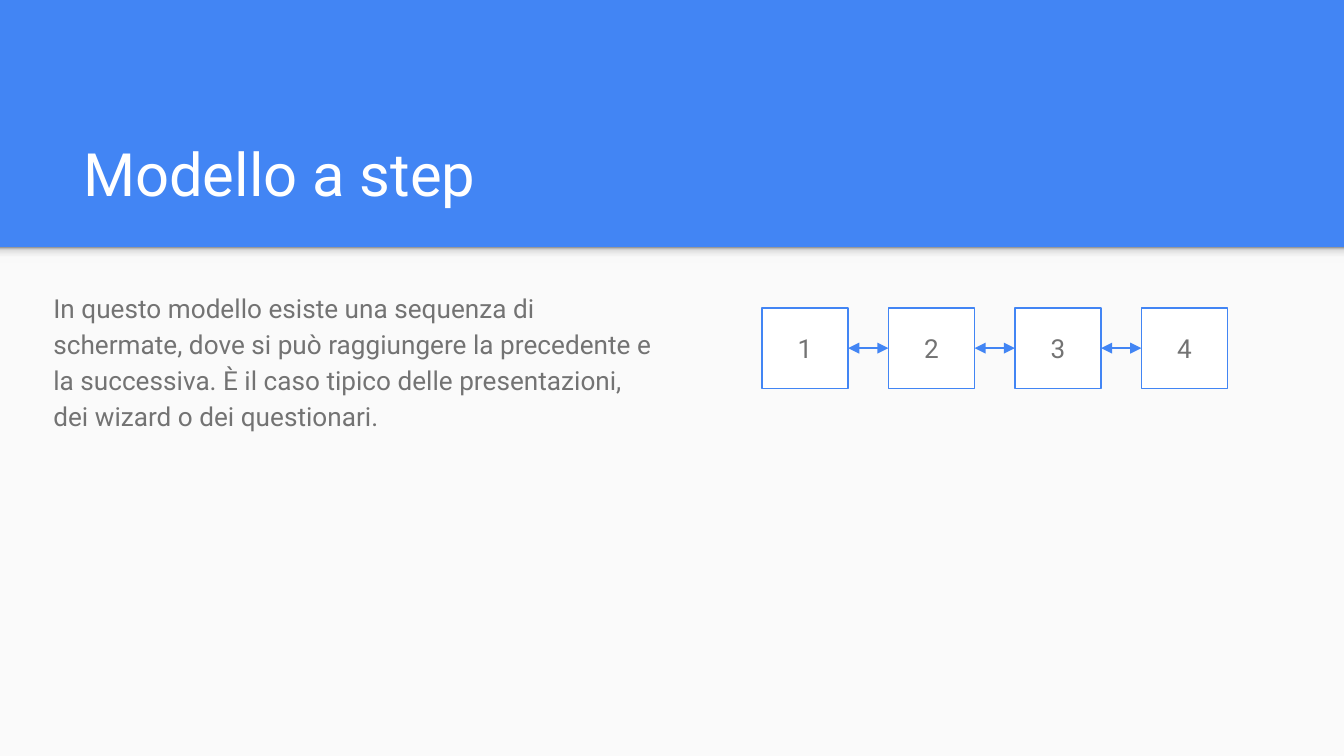
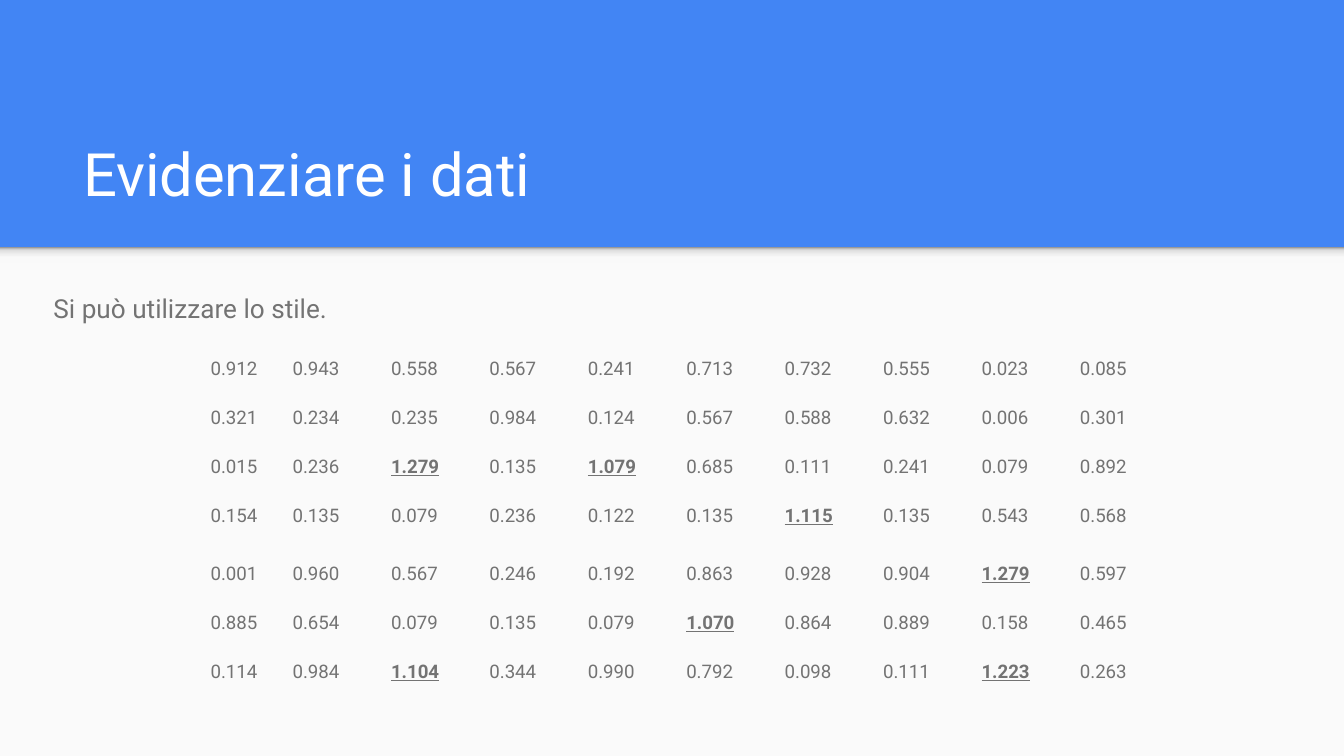
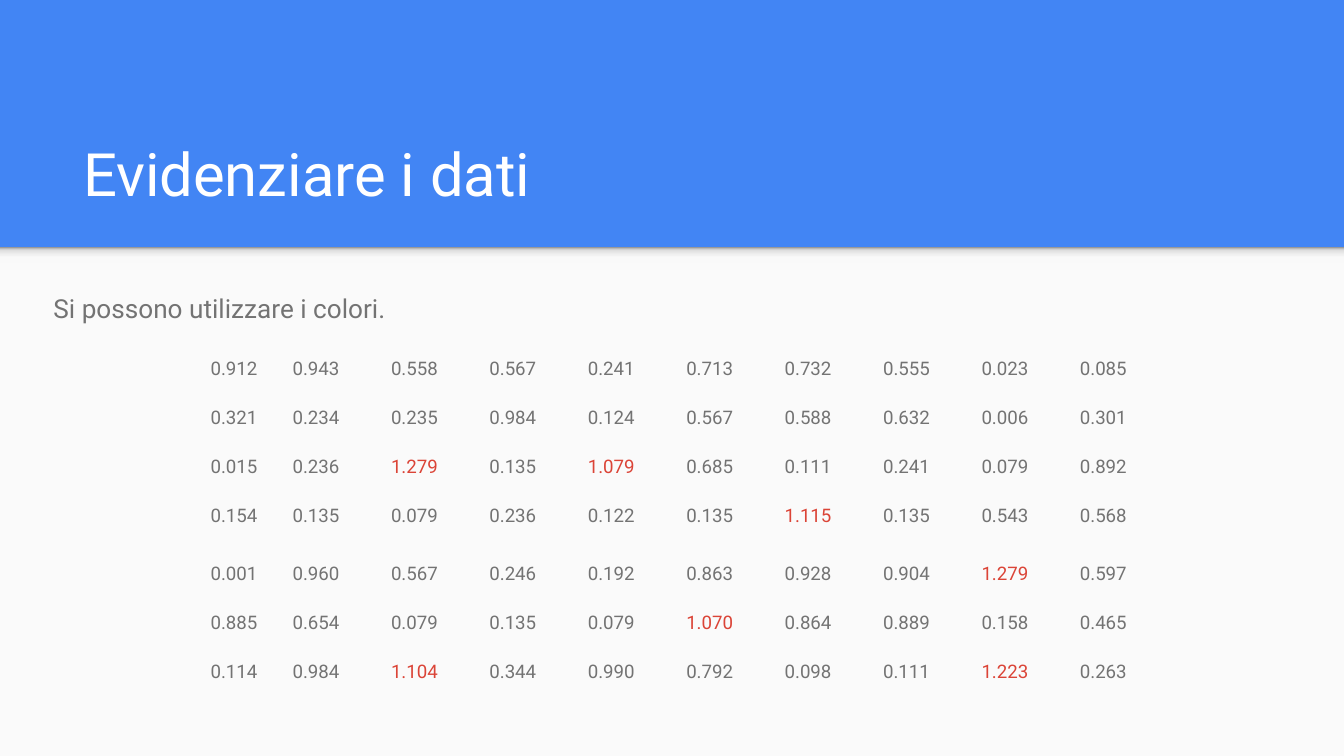
from lxml import etree
from pptx import Presentation
from pptx.dml.color import RGBColor
from pptx.enum.shapes import MSO_CONNECTOR, MSO_SHAPE
from pptx.enum.text import MSO_ANCHOR, PP_ALIGN
from pptx.oxml.ns import qn
from pptx.util import Cm, Pt

RECTANGLE = MSO_SHAPE.RECTANGLE
STRAIGHT = MSO_CONNECTOR.STRAIGHT
TOP, MIDDLE, BOTTOM = MSO_ANCHOR.TOP, MSO_ANCHOR.MIDDLE, MSO_ANCHOR.BOTTOM
LEFT, CENTER = PP_ALIGN.LEFT, PP_ALIGN.CENTER

FONT = "Roboto"
BLUE, WHITE, PAPER, GREY, RED = "4285F4", "FFFFFF", "FAFAFA", "737373", "DB4437"
SHADOW_STOPS = [(0, "F9F9F9"), (36, "F9F9F9"), (80, "DEDEDE"), (100, "999999")]
NO_TABLE_STYLE = "{2D5ABB26-0587-4C30-8999-92F81FD0307C}"

# Measures in centimetres; boxes are left, top, width, height
PAGE_WIDTH, PAGE_HEIGHT = 25.4, 14.29
BAND_HEIGHT = 4.67
SHADOW_HEIGHT = 0.3
MARGIN = 0.25
TITLE_BOX = (1.32, 2.06, 22.83, 2.13)
HALF_BODY_BOX = (0.76, 5.18, 11.94, 7.85)
INTRO_BOX = (0.76, 5.18, 23.22, 1.17)
STEPS_BOX = (14.4, 5.82, 8.8, 1.52)
TABLE_BOX = (3.73, 6.53, 17.98, 5.83)

DATA = [line.split() for line in """\
0.912 0.943 0.558 0.567 0.241 0.713 0.732 0.555 0.023 0.085
0.321 0.234 0.235 0.984 0.124 0.567 0.588 0.632 0.006 0.301
0.015 0.236 1.279 0.135 1.079 0.685 0.111 0.241 0.079 0.892
0.154 0.135 0.079 0.236 0.122 0.135 1.115 0.135 0.543 0.568
0.001 0.960 0.567 0.246 0.192 0.863 0.928 0.904 1.279 0.597
0.885 0.654 0.079 0.135 0.079 1.070 0.864 0.889 0.158 0.465
0.114 0.984 1.104 0.344 0.990 0.792 0.098 0.111 1.223 0.263""".splitlines()]


def color(value):
    return RGBColor.from_string(value)


def place(box):
    return [Cm(length) for length in box]


def set_margins(holder):
    holder.margin_left = holder.margin_right = Cm(MARGIN)
    holder.margin_top = holder.margin_bottom = Cm(MARGIN)


def write(frame, text, size, ink, anchor=TOP, align=LEFT):
    """Fill a text frame with one paragraph and return it."""
    frame.word_wrap = True
    frame.vertical_anchor = anchor
    para = frame.paragraphs[0]
    para.add_run().text = text
    para.alignment = align
    para.font.name = FONT
    para.font.size = Pt(size)
    para.font.color.rgb = color(ink)
    return para


def add_rectangle(page, box, fill, line=None):
    shape = page.shapes.add_shape(RECTANGLE, *place(box))
    shape.shadow.inherit = False
    shape.fill.solid()
    shape.fill.fore_color.rgb = color(fill)
    if line:
        shape.line.color.rgb = color(line)
        shape.line.width = Pt(0.75)
    else:
        shape.line.fill.background()
    return shape


def add_text(page, box, text, size, ink, anchor=TOP):
    frame = page.shapes.add_textbox(*place(box)).text_frame
    set_margins(frame)
    return write(frame, text, size, ink, anchor)


def fade_upwards(shape, stops):
    """Give the shape a gradient that runs from bottom to top."""
    shape.fill.gradient()
    gradient = shape._element.spPr.find(qn("a:gradFill"))
    stop_list = gradient.find(qn("a:gsLst"))
    for stop in list(stop_list):
        stop_list.remove(stop)
    for percent, value in stops:
        stop = etree.SubElement(stop_list, qn("a:gs"), pos=str(percent * 1000))
        etree.SubElement(stop, qn("a:srgbClr"), val=value)
    shape.fill.gradient_angle = 90


def add_page(deck, title):
    """Blue page with a pale lower area, a band shadow and a title."""
    page = deck.slides.add_slide(deck.slide_layouts[6])
    page.background.fill.solid()
    page.background.fill.fore_color.rgb = color(BLUE)
    add_rectangle(page, (0, BAND_HEIGHT, PAGE_WIDTH, PAGE_HEIGHT - BAND_HEIGHT), PAPER)
    shadow = add_rectangle(page, (0, BAND_HEIGHT, PAGE_WIDTH, SHADOW_HEIGHT), PAPER)
    fade_upwards(shadow, SHADOW_STOPS)
    add_text(page, TITLE_BOX, title, 32, WHITE, BOTTOM)
    return page


def add_body(page, box, text):
    add_text(page, box, text, 14, GREY).line_spacing = 1.15


def add_double_arrow(page, start, end, y):
    arrow = page.shapes.add_connector(STRAIGHT, *place((start, y, end, y)))
    arrow.line.color.rgb = color(BLUE)
    arrow.line.width = Pt(0.75)
    properties = arrow._element.spPr
    line = properties.find(qn("a:ln"))
    for tip in ("a:headEnd", "a:tailEnd"):
        etree.SubElement(line, qn(tip), type="triangle")
    etree.SubElement(properties, qn("a:effectLst"))


def add_steps(page, box, count):
    """Numbered boxes in a row, joined by double arrows."""
    left, top, width, height = box
    step_width = 1.63
    pitch = (width - step_width) / (count - 1)
    for index in range(count):
        x = left + index * pitch
        step = add_rectangle(page, (x, top, step_width, height), WHITE, BLUE)
        set_margins(step.text_frame)
        write(step.text_frame, str(index + 1), 14, GREY, MIDDLE, CENTER)
    for index in range(count - 1):
        x = left + index * pitch
        add_double_arrow(page, x + step_width, x + pitch, top + height / 2)


def add_data_table(page, box, highlight):
    """Plain grid of values in which those above one are highlighted."""
    frame = page.shapes.add_table(len(DATA), len(DATA[0]), *place(box))
    table = frame.table
    table.first_row = table.horz_banding = False
    table._tbl.tblPr.find(qn("a:tableStyleId")).text = NO_TABLE_STYLE
    last = len(DATA[0]) - 1
    for index, column in enumerate(table.columns):
        column.width = Cm(1.55 if index in (0, last) else 1.86)
    for index, row in enumerate(table.rows):
        row.height = Cm(1.09 if index == 3 else 0.79)
        for cell, value in zip(row.cells, DATA[index]):
            cell.fill.background()
            set_margins(cell)
            para = write(cell.text_frame, value, 10, GREY)
            if float(value) > 1:
                highlight(para.font)


def underline_bold(font):
    font.bold = font.underline = True


def paint_red(font):
    font.color.rgb = color(RED)


def add_steps_page(deck):
    page = add_page(deck, "Modello a step")
    add_body(page, HALF_BODY_BOX,
             "In questo modello esiste una sequenza di schermate, dove si può "
             "raggiungere la precedente e la successiva. È il caso tipico delle "
             "presentazioni, dei wizard o dei questionari.")
    add_steps(page, STEPS_BOX, 4)


def add_data_page(deck, intro, highlight):
    page = add_page(deck, "Evidenziare i dati")
    add_body(page, INTRO_BOX, intro)
    add_data_table(page, TABLE_BOX, highlight)


def main():
    deck = Presentation()
    deck.slide_width, deck.slide_height = Cm(PAGE_WIDTH), Cm(PAGE_HEIGHT)
    add_steps_page(deck)
    add_data_page(deck, "Si può utilizzare lo stile.", underline_bold)
    add_data_page(deck, "Si possono utilizzare i colori.", paint_red)
    deck.save("out.pptx")


if __name__ == "__main__":
    main()
